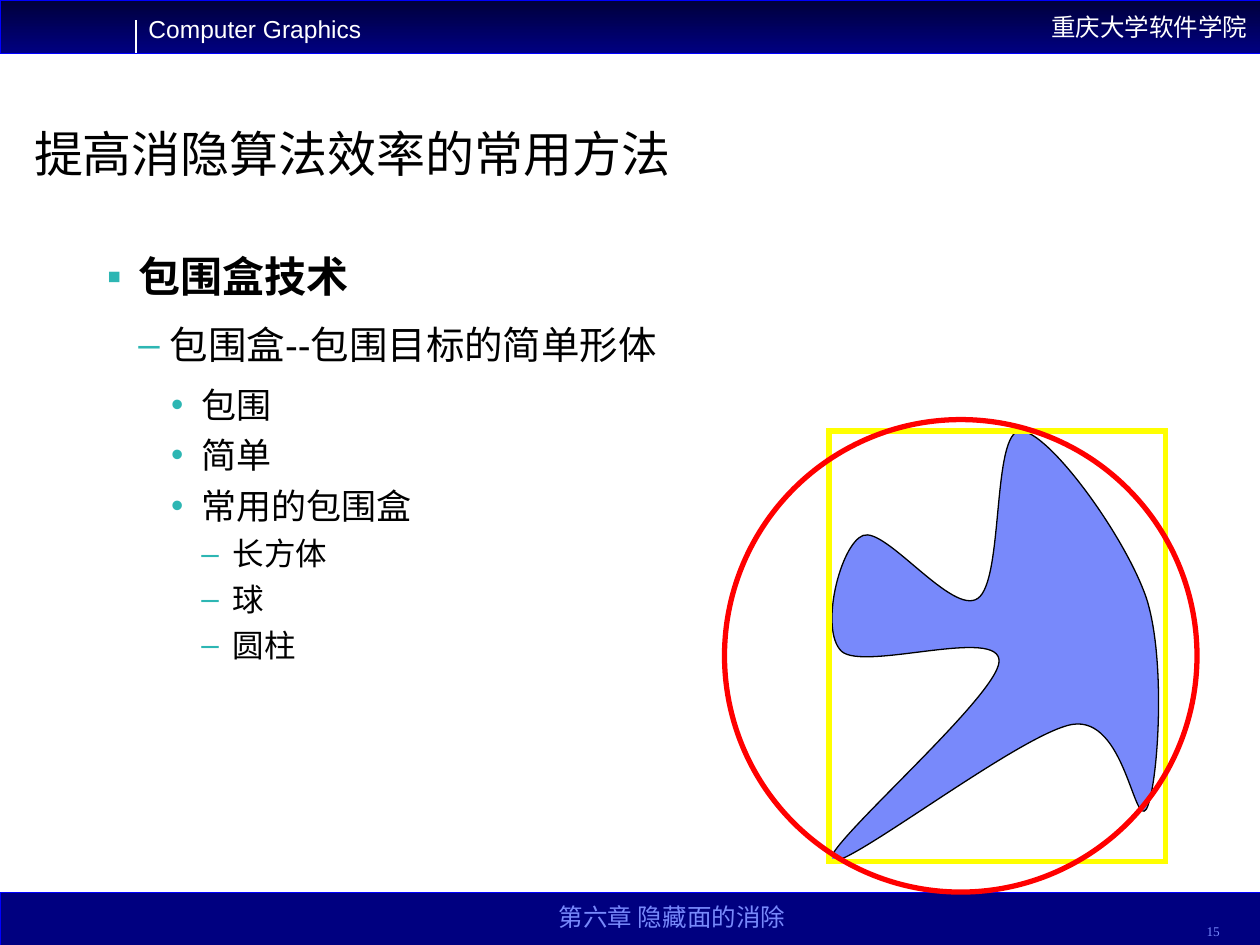
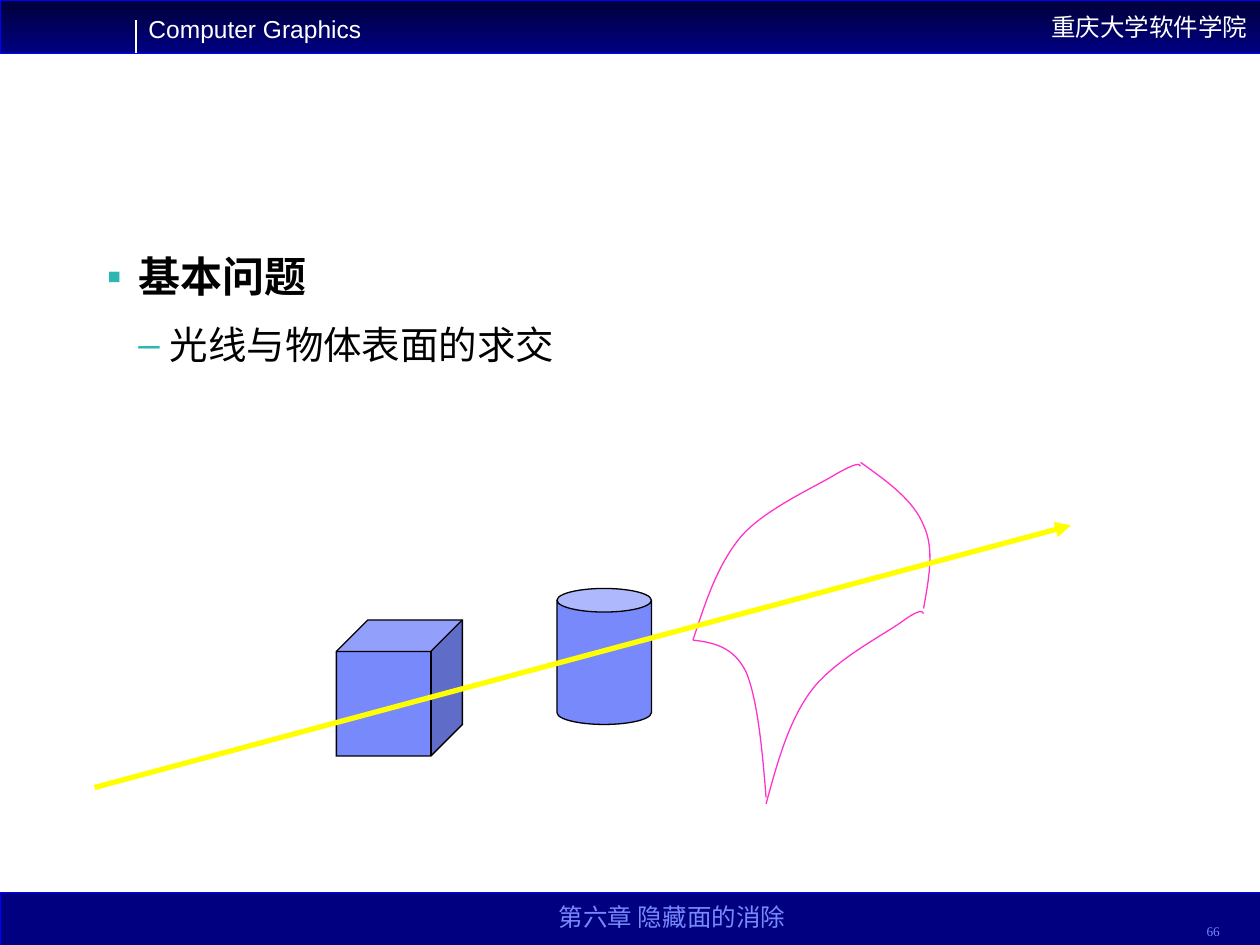
from dataclasses import dataclass

from lxml import etree
from pptx import Presentation
from pptx import util as u
from pptx.dml.color import RGBColor
from pptx.enum import shapes, text
from pptx.oxml.ns import qn


@dataclass(frozen=True)
class Theme:
    black: str = "000000"
    white: str = "FFFFFF"
    night: str = "00003B"
    navy: str = "000080"
    band_edge: str = "0000FF"
    periwinkle: str = "7889FB"
    teal: str = "2DB6B3"
    yellow: str = "FFFF00"
    red: str = "FF0000"
    pink: str = "FF33CC"
    sans: str = "Arial"
    serif: str = "Times New Roman"
    title_size: float = 28
    frame_size: float = 14
    number_size: float = 7.6
    hairline: float = 0.25
    thin: float = 0.75
    thick: float = 3


theme = Theme()

# Bullet level: size, bold, bullet, left margin, hanging indent, space before, space after
levels = [
    (24, True, "▪", 0.25, 0.25, 10.5, 4.5),
    (22, False, "–", 0.5, 0.25, 6.9, 4.1),
    (20, False, "•", 0.75, 0.24, 5, 0),
    (18, False, "–", 1, 0.25, 4.5, 0),
]

# Each curve: start point, then cubic segments of two control points and an end point
star_curves = [
    [(6.68, 5.17),
     (6.5, 5), (6.67, 4.32), (6.85, 4.25),
     (7.03, 4.18), (7.56, 4.89), (7.76, 4.75),
     (7.97, 4.61), (7.87, 3.42), (8.1, 3.42),
     (8.32, 3.42), (8.93, 4.25), (9.1, 4.75),
     (9.26, 5.25), (9.19, 6.25), (9.1, 6.42),
     (9, 6.58), (8.93, 5.68), (8.51, 5.75),
     (8.1, 5.82), (6.69, 6.92), (6.6, 6.83),
     (6.5, 6.75), (7.92, 5.53), (7.93, 5.25),
     (7.94, 4.97), (6.86, 5.33), (6.68, 5.17)],
]
surface_curves = [
    [(5.5, 5.08),
     (5.6, 4.78), (5.69, 4.49), (5.88, 4.26),
     (6.07, 4.04), (6.48, 3.86), (6.64, 3.76),
     (6.8, 3.67), (6.82, 3.68), (6.83, 3.7)],
    [(6.08, 6.38),
     (6.17, 6.05), (6.26, 5.72), (6.44, 5.48),
     (6.62, 5.24), (7.01, 5.04), (7.15, 4.94),
     (7.3, 4.83), (7.32, 4.85), (7.33, 4.87)],
    [(5.5, 5.08),
     (5.66, 5.1), (5.82, 5.13), (5.92, 5.33),
     (6.01, 5.54), (6.05, 5.94), (6.08, 6.33)],
    [(6.83, 3.67),
     (7.04, 3.82), (7.25, 3.97), (7.33, 4.17),
     (7.42, 4.36), (7.37, 4.6), (7.33, 4.83)],
]

# Page number, title, bullets, curves, curve fill, curve colour
lessons = [
    ("15", "提高消隐算法效率的常用方法",
     [(0, "包围盒技术"), (1, "包围盒--包围目标的简单形体"),
      (2, "包围"), (2, "简单"), (2, "常用的包围盒"),
      (3, "长方体"), (3, "球"), (3, "圆柱")],
     star_curves, theme.periwinkle, theme.black),
    ("66", None,
     [(0, "基本问题"), (1, "光线与物体表面的求交")],
     surface_curves, None, theme.pink),
]


def add_run(paragraph, words, size, color, font=theme.sans, bold=False):
    run = paragraph.add_run()
    run.text = words
    run.font.name = font
    run.font.size = u.Pt(size)
    run.font.bold = bold
    run.font.color.rgb = RGBColor.from_string(color)


def paint(item, line_color, width, fill=None):
    """Set line and fill of a shape, or the line of a connector, without shadow."""
    item.line.color.rgb = RGBColor.from_string(line_color)
    item.line.width = u.Pt(width)
    stroke = item.line._get_or_add_ln()
    etree.SubElement(stroke, qn("a:miter"), lim="800000")
    if not hasattr(item, "fill"):
        etree.SubElement(stroke.getparent(), qn("a:effectLst"))
        return
    item.shadow.inherit = False
    if fill:
        item.fill.solid()
        item.fill.fore_color.rgb = RGBColor.from_string(fill)
    else:
        item.fill.background()


prs = Presentation()
prs.slide_width, prs.slide_height = u.Inches(10), u.Inches(7.5)
slides = []

for number, heading, bullets, curves, curve_fill, curve_color in lessons:
    slide = prs.slides.add_slide(prs.slide_layouts[5 if heading else 6])
    slides.append(slide)

    # Top and bottom bands
    bands = []
    for top in (0, 7.08):
        band = slide.shapes.add_shape(
            shapes.MSO_SHAPE.RECTANGLE, 0, u.Inches(top), prs.slide_width, u.Inches(0.42))
        paint(band, theme.band_edge, theme.hairline, theme.navy)
        bands.append(band)
    header = bands[0]
    header.fill.gradient()
    header.fill.gradient_angle = 270
    for stop, position, color in zip(
            header.fill.gradient_stops, (0, 1), (theme.night, theme.navy)):
        stop.position = position
        stop.color.rgb = RGBColor.from_string(color)
    header.text_frame.vertical_anchor = text.MSO_ANCHOR.MIDDLE
    school = header.text_frame.paragraphs[0]
    school.alignment = text.PP_ALIGN.RIGHT
    add_run(school, "重庆大学软件学院", theme.frame_size, theme.white)

    # Course name, chapter and page number
    for place, words, size, color, font, align, anchor, spacing in (
        ((1.08, 0.06, 1.89, 0.34), "Computer Graphics", theme.frame_size, theme.white,
         theme.sans, text.PP_ALIGN.LEFT, text.MSO_ANCHOR.TOP, 1.0),
        ((3.75, 7.06, 3.17, 0.38), "第六章 隐藏面的消除", theme.frame_size, theme.periwinkle,
         theme.serif, text.PP_ALIGN.CENTER, text.MSO_ANCHOR.BOTTOM, 1.0),
        ((8.78, 7.12, 1, 0.38), number, theme.number_size, theme.periwinkle,
         theme.serif, text.PP_ALIGN.RIGHT, text.MSO_ANCHOR.BOTTOM, 0.8),
    ):
        label = slide.shapes.add_textbox(*map(u.Inches, place)).text_frame
        label.word_wrap = True
        label.vertical_anchor = anchor
        label.paragraphs[0].alignment = align
        label.paragraphs[0].line_spacing = spacing
        add_run(label.paragraphs[0], words, size, color, font)
    divider = slide.shapes.add_connector(
        shapes.MSO_CONNECTOR.STRAIGHT, *map(u.Inches, (1.08, 0.16, 1.08, 0.42)))
    paint(divider, theme.white, theme.thin)

    # Title
    if heading:
        title = slide.shapes.title
        title.left, title.top, title.width, title.height = map(
            u.Inches, (0.17, 0.95, 9.02, 0.55))
        title.text_frame.auto_size = text.MSO_AUTO_SIZE.NONE
        title.text_frame.vertical_anchor = text.MSO_ANCHOR.BOTTOM
        title_line = title.text_frame.paragraphs[0]
        title_line.alignment = text.PP_ALIGN.LEFT
        title_line.line_spacing = 0.9
        add_run(title_line, heading, theme.title_size, theme.black)

    # Bulleted outline
    outline = slide.shapes.add_textbox(*map(u.Inches, (0.75, 1.94, 8.5, 4.27))).text_frame
    outline.word_wrap = True
    for index, (level, words) in enumerate(bullets):
        size, bold, mark, margin, hanging, before, after = levels[level]
        point = outline.add_paragraph() if index else outline.paragraphs[0]
        point.level = level
        properties = point._p.get_or_add_pPr()
        properties.set("marL", str(u.Inches(margin)))
        properties.set("indent", str(-u.Inches(hanging)))
        mark_color = etree.SubElement(properties, qn("a:buClr"))
        etree.SubElement(mark_color, qn("a:srgbClr"), val=theme.teal)
        etree.SubElement(properties, qn("a:buFont"), typeface=theme.sans)
        etree.SubElement(properties, qn("a:buChar"), char=mark)
        point.space_before = u.Pt(before if index else 0)
        point.space_after = u.Pt(after)
        add_run(point, words, size, theme.black, bold=bold)

    # Curved outlines: every three line steps become one cubic segment
    for knots in curves:
        builder = slide.shapes.build_freeform(*map(u.Inches, knots[0]))
        builder.add_line_segments(
            [tuple(map(u.Inches, knot)) for knot in knots[1:]], close=curve_fill is not None)
        curve = builder.convert_to_shape()
        sides = list(curve._element.iter(qn("a:lnTo")))
        for first in range(0, len(knots) - 1, 3):
            cubic = etree.Element(qn("a:cubicBezTo"))
            sides[first].addprevious(cubic)
            for side in sides[first:first + 3]:
                cubic.append(side[0])
                side.getparent().remove(side)
        paint(curve, curve_color, theme.thin, curve_fill)

bounding_slide, ray_slide = slides

# Bounding box and bounding sphere
for kind, place, color in (
    (shapes.MSO_SHAPE.RECTANGLE, (6.58, 3.42, 2.67, 3.42), theme.yellow),
    (shapes.MSO_SHAPE.OVAL, (5.75, 3.33, 3.75, 3.75), theme.red),
):
    bound = bounding_slide.shapes.add_shape(kind, *map(u.Inches, place))
    paint(bound, color, theme.thick)

# Solids hit by the ray
for kind, place in (
    (shapes.MSO_SHAPE.CUBE, (2.67, 4.92, 1, 1.08)),
    (shapes.MSO_SHAPE.CAN, (4.42, 4.67, 0.75, 1.08)),
):
    solid = ray_slide.shapes.add_shape(kind, *map(u.Inches, place))
    solid.adjustments[0] = 0.25
    paint(solid, theme.black, theme.thin, theme.periwinkle)

# Ray
ray = ray_slide.shapes.add_connector(
    shapes.MSO_CONNECTOR.STRAIGHT, *map(u.Inches, (0.75, 6.25, 8.5, 4.17)))
paint(ray, theme.yellow, theme.thick)
etree.SubElement(ray.line._get_or_add_ln(), qn("a:tailEnd"), type="triangle")

prs.save("out.pptx")
